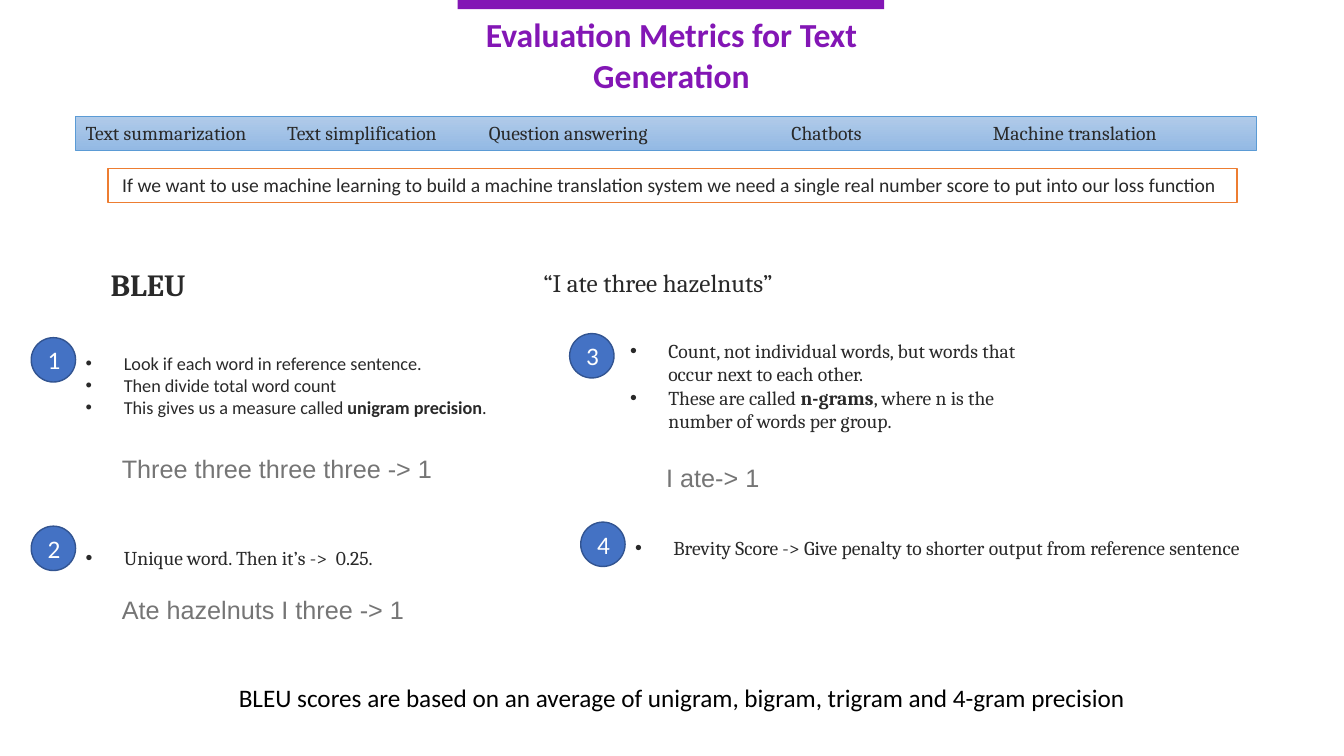
from lxml import etree
from pptx import Presentation
from pptx.dml.color import RGBColor
from pptx.enum.shapes import MSO_SHAPE
from pptx.enum.text import MSO_ANCHOR, MSO_AUTO_SIZE, PP_ALIGN
from pptx.oxml.ns import qn
from pptx.util import Inches, Pt

RECT, OVAL = MSO_SHAPE.RECTANGLE, MSO_SHAPE.OVAL
TOP, MIDDLE = MSO_ANCHOR.TOP, MSO_ANCHOR.MIDDLE
LEFT, CENTER = PP_ALIGN.LEFT, PP_ALIGN.CENTER
FIXED = MSO_AUTO_SIZE.NONE
PURPLE, INK, GRAY = "8316B5", "292929", "757575"
SERIF, SANS, PLAIN = "Cambria", "Calibri", "Arial"
TASKS = ("Text summarization\tText simplification\tQuestion answering"
         "\t\tChatbots\t\tMachine translation")
NEED = (" If we want to use machine learning to build a machine translation "
        "system we need a single real number score to put into our loss function")
CLOSE = ("BLEU scores are based on an average of unigram, bigram, trigram "
         "and 4-gram precision")
STEPS = [
    (1, (0.75, 3.45, 4.29, 0.76), (0.44, 0.1), SANS, 13,
     [[("Look if each word in reference sentence.", False)],
      [("Then divide total word count", False)],
      [("This gives us a measure called ", False),
       ("unigram precision", True), (".", False)]],
     "Three three three three -> 1", 1.0),
    (2, (0.75, 5.37, 4.29, 0.34), (0.44, 0.15), SERIF, 14,
     [[("Unique word. Then it’s ->  0.25.", False)]],
     "Ate hazelnuts I three -> 1", 0.48),
    (3, (6.15, 3.31, 4.29, 1.04), (0.5, 0), SERIF, 14,
     [[("Count, not individual words, but words that occur next to each other.",
        False)],
      [("These are called ", False), ("n-grams", True),
       (", where n is the number of words per group.", False)]],
     "I ate-> 1", 1.23),
    (4, (6.2, 5.27, 6.47, 0.34), (0.44, 0.09), SERIF, 14,
     [[("Brevity Score -> Give penalty to shorter output from reference sentence",
        False)]], None, 0),
]


def color(code):
    """Turn a hex string into a colour."""
    return RGBColor.from_string(code)


def write(shape, paras, font, size, code, align=LEFT, anchor=TOP, bullet=False):
    """Fill a shape with paragraphs of (text, bold) runs."""
    frame = shape.text_frame
    frame.word_wrap = True
    frame.auto_size = FIXED
    frame.vertical_anchor = anchor
    for i, runs in enumerate(paras):
        para = frame.add_paragraph() if i else frame.paragraphs[0]
        para.alignment = align
        props = para._p.get_or_add_pPr()
        props.set("defTabSz", str(Inches(1)))
        if bullet:
            props.set("marL", str(Inches(0.38)))
            props.set("indent", str(Inches(-0.38)))
            etree.SubElement(props, qn("a:buFont")).set("typeface", PLAIN)
            etree.SubElement(props, qn("a:buChar")).set("char", "•")
        for text, bold in runs:
            run = para.add_run()
            run.text = text
            run.font.name = font
            run.font.size = Pt(size)
            run.font.bold = bold
            run.font.color.rgb = color(code)


def label(slide, box, text, font, size, code, bold=False):
    """Add one line of text in a box."""
    shape = slide.shapes.add_textbox(*map(Inches, box))
    write(shape, [[(text, bold)]], font, size, code)


def block(slide, kind, box, fill, line=None, width=1):
    """Add a filled shape, with a line if one is given."""
    shape = slide.shapes.add_shape(kind, *map(Inches, box))
    shape.shadow.inherit = False
    shape.fill.solid()
    shape.fill.fore_color.rgb = color(fill)
    if line:
        shape.line.color.rgb = color(line)
        shape.line.width = Pt(width)
    else:
        shape.line.fill.background()
    return shape


def header(slide, box):
    """Place the accent bar and the title below it."""
    x, y, w, h = box
    block(slide, RECT, (x + 0.11, y, w - 0.23, 0.09), PURPLE)
    title = slide.shapes.title
    title.left, title.top, title.width, title.height = map(
        Inches, (x, y + 0.09, w, h - 0.09))
    write(title, [[("Evaluation Metrics for Text Generation", True)]],
          SANS, 24, PURPLE, CENTER)


def banner(slide, box):
    """Place the gradient strip of tasks and the boxed remark under it."""
    x, y, w, h = box
    strip = block(slide, RECT, box, "A3C1E5", "5B9BD5", 0.5)
    strip.fill.gradient()
    strip.fill.gradient_angle = 270
    for stop, code in zip(strip.fill.gradient_stops, ("B1CBE9", "93B9E4")):
        stop.color.rgb = color(code)
    strip.fill.gradient_stops[0].position = 0
    strip.fill.gradient_stops[1].position = 1
    write(strip, [[(TASKS, False)]], SERIF, 14, INK)
    note = block(slide, RECT, (x + 0.32, y + 0.52, w - 0.51, h),
                 "FFFFFF", "ED7D31")
    write(note, [[(NEED, False)]], SANS, 14, INK)


def step(slide, num, box, shift, font, size, points, sample, drop):
    """Place a numbered badge, its bullets and the sample below them."""
    x, y, w, h = box
    badge = block(slide, OVAL, (x - shift[0], y - shift[1], 0.44, 0.44),
                  "4472C4", "325491")
    write(badge, [[(str(num), False)]], SANS, 18, "FFFFFF", CENTER, MIDDLE)
    items = slide.shapes.add_textbox(*map(Inches, box))
    write(items, points, font, size, INK, bullet=True)
    if sample:
        label(slide, (x + 0.36, y + drop, 3.56, 0.4), sample, PLAIN, 18, GRAY)


def main():
    """Build the slide and save it."""
    deck = Presentation()
    deck.slide_width, deck.slide_height = Inches(13.33), Inches(7.5)
    slide = deck.slides.add_slide(deck.slide_layouts[5])
    header(slide, (4.43, 0, 4.46, 1))
    banner(slide, (0.75, 1.15, 11.71, 0.34))
    label(slide, (1, 2.59, 1.03, 0.47), "BLEU", SERIF, 22, INK, True)
    label(slide, (5.29, 2.6, 2.63, 0.4), "“I ate three hazelnuts”",
          SERIF, 18, INK)
    for data in STEPS:
        step(slide, *data)
    label(slide, (2.27, 6.72, 9.93, 0.4), CLOSE, SANS, 18, "000000")
    deck.save("out.pptx")


if __name__ == "__main__":
    main()
